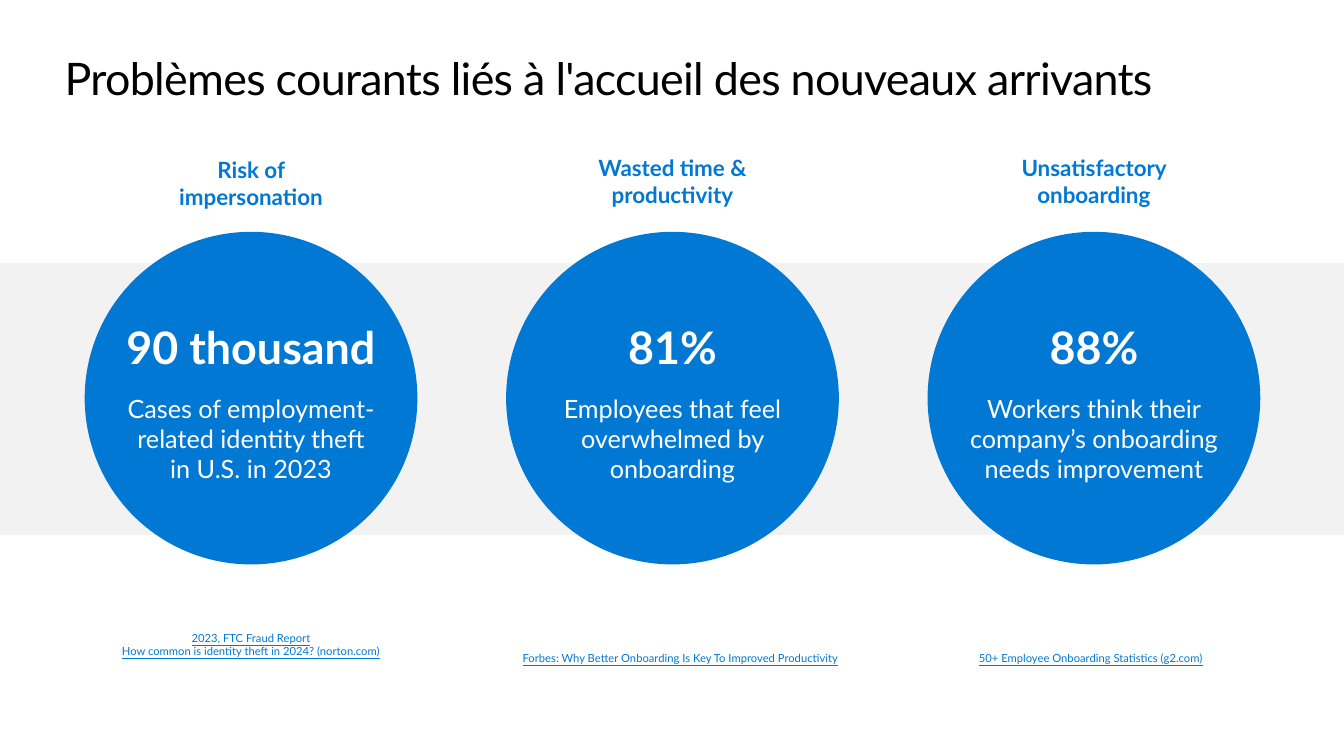
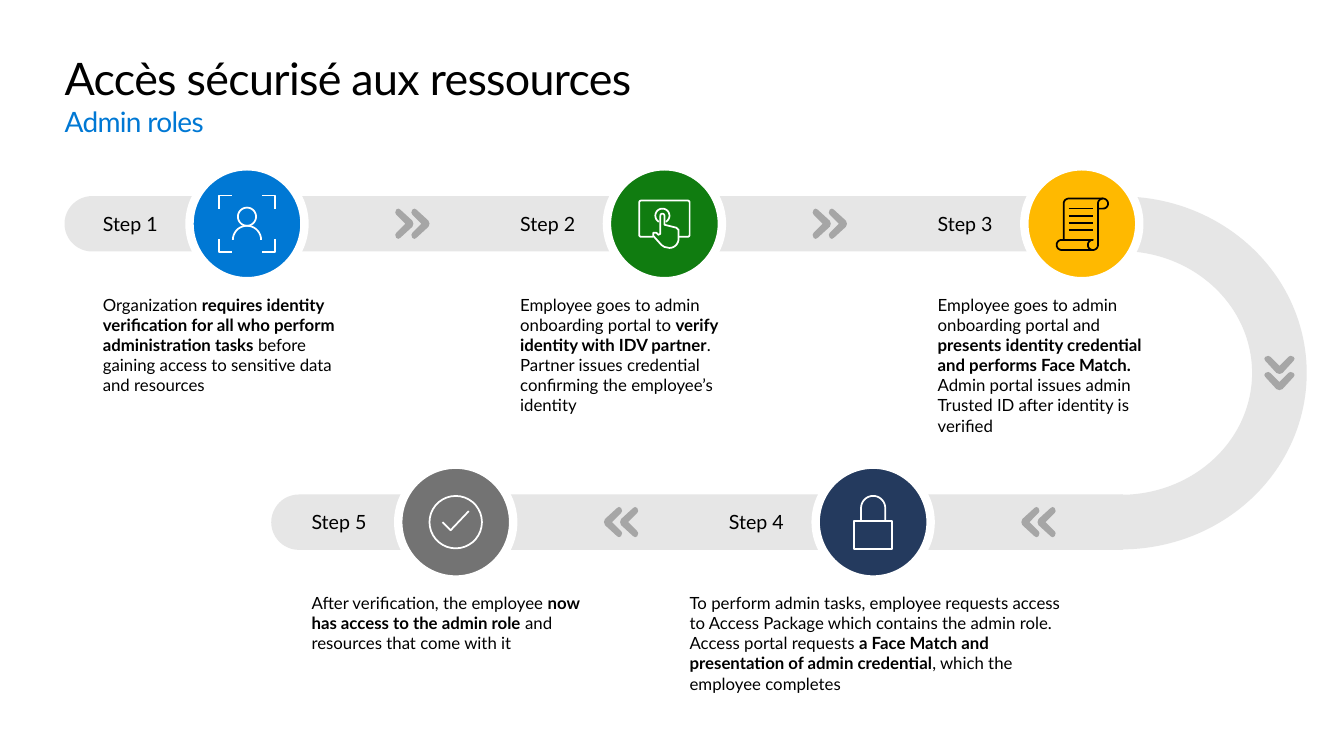
"""Build two slides: onboarding problem figures and a five-step access path."""
from dataclasses import dataclass
from math import cos, radians, sin

from pptx import Presentation
from pptx.dml.color import RGBColor
from pptx.enum.shapes import MSO_SHAPE as Shape
from pptx.enum.text import PP_ALIGN as Align
from pptx.util import Inches, Pt


@dataclass(frozen=True)
class Theme:
    font: str = "Lato"
    black: str = "000000"
    white: str = "FFFFFF"
    blue: str = "0078D4"
    green: str = "107C10"
    yellow: str = "FFB900"
    navy: str = "243A5E"
    gray: str = "737373"
    band: str = "F2F2F2"
    track: str = "E6E6E6"
    chevron: str = "A6A6A6"
    title: int = 32
    subtitle: int = 20
    figure: int = 32
    caption: int = 18
    heading: int = 16
    label: int = 14
    body: int = 12
    source: int = 8


THEME = Theme()


def arc(x, y, radius, start, end):
    steps = max(6, abs(end - start) // 10)
    angles = [radians(start + (end - start) * i / steps) for i in range(steps + 1)]
    return [(x + radius * cos(a), y + radius * sin(a)) for a in angles]


class Board:
    def __init__(self, deck):
        self.deck = deck
        self.page = None

    def start(self, title, subtitle=None):
        self.page = self.deck.slides.add_slide(self.deck.slide_layouts[6])
        self.text(title, 0.64, 0.5, 12.05, 0.54, size=THEME.title, tracking=-50)
        if subtitle:
            self.text(subtitle, 0.64, 1.04, 12.05, 0.34, size=THEME.subtitle,
                      color=THEME.blue, tracking=-50)

    def text(self, content, left, top, width, height, *, size, color=THEME.black,
             bold=False, underline=False, align=Align.LEFT, inset=(0, 0), tracking=0):
        box = self.page.shapes.add_textbox(
            Inches(left), Inches(top), Inches(width), Inches(height))
        frame = box.text_frame
        frame.word_wrap = True
        frame.margin_left = frame.margin_right = Inches(inset[0])
        frame.margin_top = frame.margin_bottom = Inches(inset[1])
        for number, line in enumerate(content.split("\n")):
            para = frame.add_paragraph() if number else frame.paragraphs[0]
            para.alignment = align
            for position, part in enumerate(line.split("**")):
                span = para.add_run()
                span.text = part
                span.font.name = THEME.font
                span.font.size = Pt(size)
                span.font.bold = bold or position % 2 == 1
                span.font.underline = underline
                span.font.color.rgb = RGBColor.from_string(color)
                if tracking:
                    span._r.get_or_add_rPr().set("spc", str(tracking))

    def paint(self, shape, fill=None, line=None, weight=1):
        shape.shadow.inherit = False
        if fill:
            shape.fill.solid()
            shape.fill.fore_color.rgb = RGBColor.from_string(fill)
        else:
            shape.fill.background()
        if line:
            shape.line.color.rgb = RGBColor.from_string(line)
            shape.line.width = Pt(weight)
        else:
            shape.line.fill.background()
        return shape

    def shape(self, kind, left, top, width, height, **look):
        return self.paint(self.page.shapes.add_shape(
            kind, Inches(left), Inches(top), Inches(width), Inches(height)), **look)

    def circle(self, x, y, size, **look):
        self.shape(Shape.OVAL, x - size / 2, y - size / 2, size, size, **look)

    def outline(self, strokes, x, y, **look):
        paths = [[(Inches(x + a), Inches(y + b)) for a, b in stroke] for stroke in strokes]
        builder = self.page.shapes.build_freeform(*paths[0][0], scale=1.0)
        for number, points in enumerate(paths):
            if number:
                builder.move_to(*points[0])
            builder.add_line_segments(points[1:], close=points[0] == points[-1])
        self.paint(builder.convert_to_shape(), **look)

    def track(self, left, right, y, thickness=0.55):
        length = right - left
        bar = self.shape(Shape.ROUND_2_SAME_RECTANGLE, (left + right - thickness) / 2,
                         y - length / 2, thickness, length, fill=THEME.track)
        bar.adjustments[0] = 0.5
        bar.adjustments[1] = 0
        bar.rotation = 270

    def chevrons(self, x, y, across, down):
        upper = [(0.09, 0), (0.08, -0.03), (-0.04, -0.14), (-0.06, -0.15),
                 (-0.08, -0.14), (-0.09, -0.11), (-0.08, -0.09), (0.01, 0)]
        edge = upper + [(a, -b) for a, b in reversed(upper)]
        turned = [(a * across - b * down, a * down + b * across) for a, b in edge]
        for shift in (-0.08, 0.08):
            self.outline([turned], x + shift * across, y + shift * down,
                         fill=THEME.chevron)


FACE = [
    *[[(0.28 * h, 0.15 * v), (0.28 * h, 0.28 * v), (0.15 * h, 0.28 * v)]
      for h in (-1, 1) for v in (-1, 1)],
    arc(0, -0.07, 0.09, 0, 360),
    arc(0, 0.16, 0.14, 180, 360),
]
TOUCH = [
    [(0.14, 0.13), *arc(0.23, 0.11, 0.02, 90, 0), *arc(0.23, -0.21, 0.02, 0, -90),
     *arc(-0.23, -0.21, 0.02, 270, 180), *arc(-0.23, 0.11, 0.02, 180, 90), (-0.11, 0.13)],
    arc(-0.02, -0.08, 0.07, 60, -240),
    [(0, 0.01), *arc(-0.02, -0.08, 0.02, 0, -180), (-0.04, 0.1), (-0.06, 0.11),
     (-0.08, 0.09), (-0.11, 0.09), (-0.11, 0.12), (-0.03, 0.21), (0, 0.23),
     *arc(0.05, 0.15, 0.09, 90, 0), (0.14, 0.06), (0.12, 0.04), (0, 0.01)],
]
SCROLL = [
    [(0.21, -0.25), *arc(-0.13, -0.2, 0.05, 270, 180), (-0.18, 0.16)],
    [(0.16, -0.15), *arc(0.21, -0.2, 0.05, 90, -180), *arc(0.11, 0.21, 0.05, 0, 90),
     *arc(-0.2, 0.21, 0.05, 90, 270), *arc(0.11, 0.21, 0.05, 270, 90)],
    *[[(-0.13, y), (0.11, y)] for y in (-0.15, -0.08, -0.01, 0.06)],
]
LOCK = [
    [(-0.19, -0.01), (0.19, -0.01), (0.19, 0.27), (-0.19, 0.27), (-0.19, -0.01)],
    [(0.12, -0.01), *arc(0, -0.14, 0.12, 0, -180), (-0.12, -0.01)],
]
CHECK = [arc(0, 0, 0.26, 0, 360), [(-0.13, 0), (-0.05, 0.08), (0.13, -0.11)]]

PROBLEMS = [
    ("Risk of impersonation", 1.5, "90 thousand",
     "Cases of employment-related identity theft in U.S. in 2023", 2.69,
     "2023, FTC Fraud Report\nHow common is identity theft in 2024? (norton.com)", 2.49, 6.21),
    ("Wasted time & productivity", 1.48, "81%",
     "Employees that feel overwhelmed by onboarding", 2.5,
     "Forbes: Why Better Onboarding Is Key To Improved Productivity", 6.75, 6.41),
    ("Unsatisfactory onboarding", 1.48, "88%",
     "Workers think their company’s onboarding needs improvement", 2.73,
     "50+ Employee Onboarding Statistics (g2.com)", 10.82, 6.41),
]

PITCH = 4.14
FIRST, SECOND = 1.02, 3.09
UPPER, LOWER = 2.22, 5.18
STEPS = [
    ("Step 1", FIRST, UPPER, 0, 2.4, THEME.blue, THEME.white, FACE,
     "Organization **requires identity verification for all who perform administration "
     "tasks** before gaining access to sensitive data and resources"),
    ("Step 2", FIRST + PITCH, UPPER, 0, 2.1, THEME.green, THEME.white, TOUCH,
     "Employee goes to admin onboarding portal to **verify identity with IDV partner**. "
     "Partner issues credential confirming the employee’s identity"),
    ("Step 3", FIRST + 2 * PITCH, UPPER, 0, 2.21, THEME.yellow, THEME.black, SCROLL,
     "Employee goes to admin onboarding portal and **presents identity credential and "
     "performs Face Match.** Admin portal issues admin Trusted ID after identity is verified"),
    ("Step 5", SECOND, LOWER, 0, 2.75, THEME.gray, THEME.white, CHECK,
     "After verification, the employee **now has access to the admin role** and "
     "resources that come with it"),
    ("Step 4", SECOND + PITCH, LOWER, -0.39, 3.84, THEME.navy, THEME.white, LOCK,
     "To perform admin tasks, employee requests access to Access Package which contains "
     "the admin role. Access portal requests **a Face Match and presentation of admin "
     "credential**, which the employee completes"),
]


def build_problems(board):
    board.start("Problèmes courants liés à l'accueil des nouveaux arrivants")
    board.shape(Shape.RECTANGLE, 0, 2.61, 13.33, 2.7, fill=THEME.band)
    for number, problem in enumerate(PROBLEMS):
        heading, top, figure, caption, width, source, source_x, source_top = problem
        x = 2.49 + 4.18 * number
        board.circle(x, 3.95, 3.3, fill=THEME.blue)
        board.text(heading, x - 1, top, 2, 0.64, size=THEME.heading, color=THEME.blue,
                   bold=True, align=Align.CENTER, inset=(0.1, 0.05))
        board.text(figure, x - 1.5, 3.17, 3, 0.54, size=THEME.figure, color=THEME.white,
                   bold=True, align=Align.CENTER)
        board.text(caption, x - width / 2, 3.85, width, 1.01, size=THEME.caption,
                   color=THEME.white, align=Align.CENTER, inset=(0.1, 0.05))
        board.text(source, source_x - 1.85, source_top, 3.7, 0.24, size=THEME.source,
                   color=THEME.blue, underline=True, align=Align.CENTER, inset=(0, 0.05))


def build_steps(board):
    board.start("Accès sécurisé aux ressources", "Admin roles")
    board.track(0.64, 11.14, UPPER)
    board.track(2.69, 11.14, LOWER)
    bend = board.shape(Shape.ARC, 9.55, UPPER, 3.14, LOWER - UPPER,
                       line=THEME.track, weight=39)
    bend.adjustments[0] = 162
    bend.adjustments[1] = 54
    for name, left, y, shift, width, fill, ink, icon, body in STEPS:
        x = left + 1.43
        board.text(name, left, y - 0.12, 0.8, 0.24, size=THEME.label)
        board.text(body, left + shift, y + 0.7, width, 0.9, size=THEME.body)
        board.circle(x, y, 1.14, fill=fill, line=THEME.white, weight=6)
        board.outline(icon, x, y, line=ink, weight=1.25)
    for start, y, across in ((FIRST, UPPER, 1), (SECOND, LOWER, -1)):
        for number in range(2):
            board.chevrons(start + 3.07 + PITCH * number, y, across, 0)
    board.chevrons(12.69, 3.7, 0, 1)


def main():
    deck = Presentation()
    deck.slide_width, deck.slide_height = Inches(13.33), Inches(7.5)
    board = Board(deck)
    build_problems(board)
    build_steps(board)
    deck.save("out.pptx")


if __name__ == "__main__":
    main()
